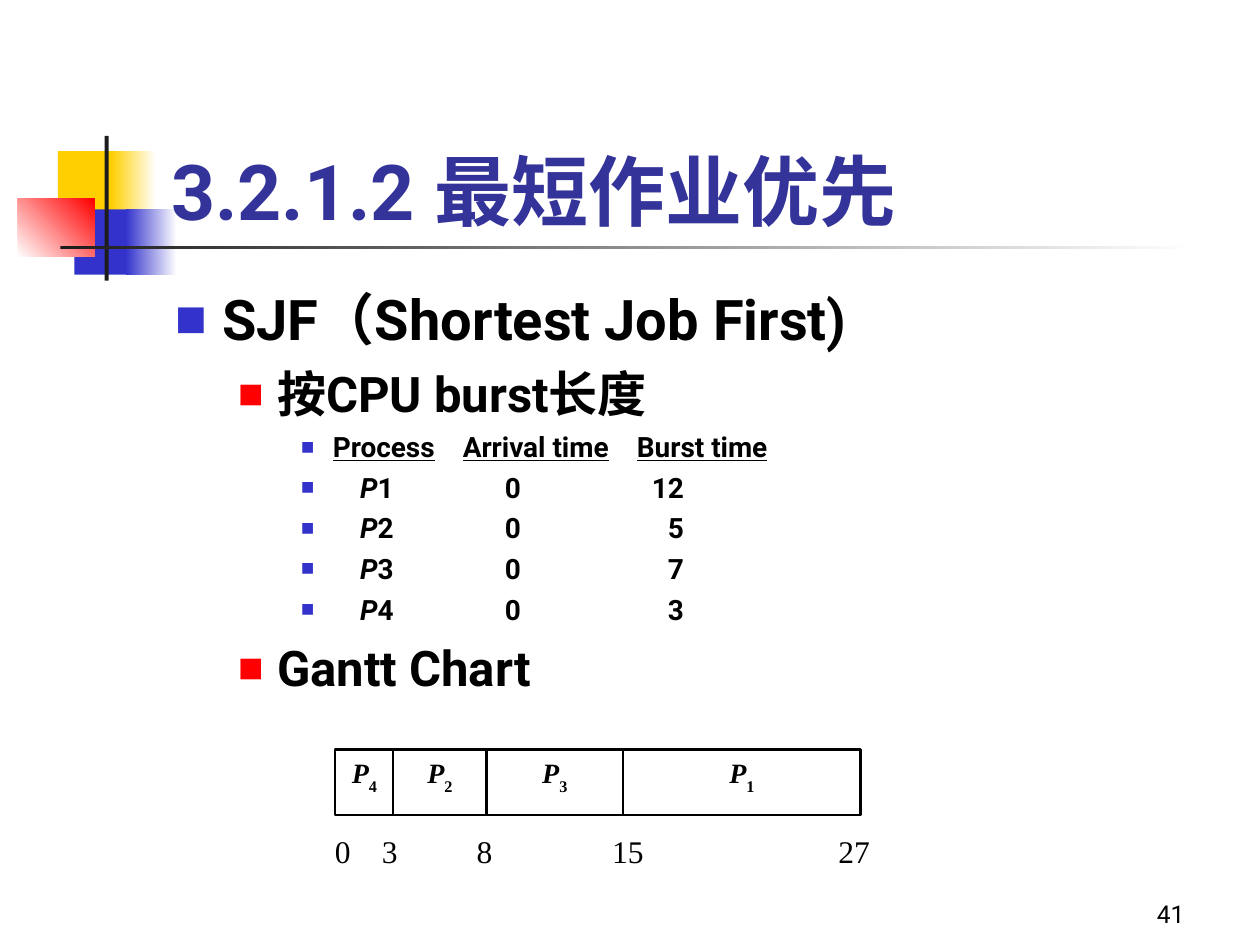
import dataclasses
import typing

import pptx
import pptx.dml.color
import pptx.enum.shapes
import pptx.enum.text
import pptx.util
from pptx.oxml.ns import qn
from lxml import etree

Cm = pptx.util.Cm
Pt = pptx.util.Pt
ALIGN = pptx.enum.text.PP_ALIGN
ANCHOR = pptx.enum.text.MSO_ANCHOR
SANS, SERIF = "Roboto", "Times New Roman"
BLACK, WHITE, BLUE, RED, YELLOW = "000000", "FFFFFF", "3333CC", "FF0000", "FFCF01"
DARK, NAVY = "1C1C1C", "333399"


@dataclasses.dataclass
class Block:
    left: float
    top: float
    width: float
    height: float
    color: str
    end_color: str = ""
    angle: float = 0


@dataclasses.dataclass
class Level:
    size: float
    margin: float
    hanging: float
    before: float
    bullet_color: str
    bullet_size: int


@dataclasses.dataclass
class Span:
    text: str
    italic: bool = False
    underline: bool = False


@dataclasses.dataclass
class Line:
    level: Level
    spans: list[Span]
    tabs: tuple = ()


@dataclasses.dataclass
class Job:
    number: int
    width: float


def rgb(color: str) -> pptx.dml.color.RGBColor:
    return pptx.dml.color.RGBColor.from_string(color)


def add_block(slide, block: Block, line_width: float = 0, line_color: str = BLACK):
    shape = slide.shapes.add_shape(
        pptx.enum.shapes.MSO_SHAPE.RECTANGLE,
        Cm(block.left), Cm(block.top), Cm(block.width), Cm(block.height))
    shape.shadow.inherit = False
    if block.end_color:
        shape.fill.gradient()
        shape.fill.gradient_angle = block.angle
        for stop, color in zip(shape.fill.gradient_stops, (block.color, block.end_color)):
            stop.color.rgb = rgb(color)
    else:
        shape.fill.solid()
        shape.fill.fore_color.rgb = rgb(block.color)
    if line_width:
        shape.line.width = Pt(line_width)
        shape.line.color.rgb = rgb(line_color)
    else:
        shape.line.fill.background()
    return shape


def add_box(slide, left: float, top: float, width: float, height: float, anchor):
    box = slide.shapes.add_textbox(Cm(left), Cm(top), Cm(width), Cm(height))
    box.text_frame.word_wrap = True
    box.text_frame.vertical_anchor = anchor
    return box


def style(font, size: float, name: str, color: str = BLACK, bold: bool = False) -> None:
    font.size, font.name, font.bold = Pt(size), name, bold
    font.color.rgb = rgb(color)


def add_tabs(para, tabs: typing.Iterable) -> None:
    tab_list = etree.SubElement(para._p.get_or_add_pPr(), qn("a:tabLst"))
    for position, kind in tabs:
        etree.SubElement(tab_list, qn("a:tab"), pos=str(Cm(position)), algn=kind)


def add_bullet(para, level: Level) -> None:
    props = para._p.get_or_add_pPr()
    props.set("marL", str(Cm(level.margin)))
    props.set("indent", str(-Cm(level.hanging)))
    color = etree.SubElement(props, qn("a:buClr"))
    etree.SubElement(color, qn("a:srgbClr"), val=level.bullet_color)
    etree.SubElement(props, qn("a:buSzPct"), val=str(level.bullet_size * 1000))
    etree.SubElement(props, qn("a:buFont"), typeface=SANS)
    etree.SubElement(props, qn("a:buChar"), char="■")


def add_line(frame, line: Line, first: bool) -> None:
    para = frame.paragraphs[0] if first else frame.add_paragraph()
    para.space_before = Pt(0 if first else line.level.before)
    add_bullet(para, line.level)
    if line.tabs:
        add_tabs(para, line.tabs)
    for span in line.spans:
        run = para.add_run()
        run.text = span.text
        style(run.font, line.level.size, SANS, bold=True)
        run.font.italic, run.font.underline = span.italic, span.underline


def add_job(slide, job: Job, left: float) -> None:
    shape = add_block(slide, Block(left, 15.11, job.width, 1.32, WHITE), 1.25)
    frame = shape.text_frame
    frame.vertical_anchor = ANCHOR.TOP
    para = frame.paragraphs[0]
    para.alignment = ALIGN.CENTER
    for text in ("P", str(job.number)):
        run = para.add_run()
        run.text = text
        style(run.font, 16, SERIF, bold=True)
        run.font.italic = text == "P"
    run.font._element.set("baseline", "-30000")


DECORATION = [
    Block(1.17, 3.05, 1.22, 1.32, YELLOW),
    Block(2.24, 3.05, 0.91, 1.32, YELLOW, WHITE),
    Block(1.5, 4.22, 1.17, 1.32, BLUE),
    Block(2.54, 4.22, 1.02, 1.32, BLUE, WHITE),
    Block(0.36, 4.01, 1.55, 1.17, WHITE, RED, 45),
    Block(2.11, 2.74, 0.08, 2.92, DARK),
    Block(1.22, 4.95, 22.86, 0.08, DARK, WHITE),
]
TOPIC = Level(32, 0.95, 0.95, 8, BLUE, 60)
POINT = Level(28, 2.06, 0.79, 7, RED, 55)
HEADER = Level(16, 3.18, 0.64, 4, BLUE, 50)
ROW = Level(16, 3.73, 1.19, 4, BLUE, 50)
HEADER_TABS = ((5.8, "l"), (9.31, "l"))
ROW_TABS = ((6.65, "l"), (10.26, "r"))
BURSTS = [12, 5, 7, 3]
JOBS = [Job(4, 1.17), Job(2, 1.88), Job(3, 2.75), Job(1, 4.79)]
TIMES = [0, 3, 8, 15, 27]
TIME_TABS = [(position, "l") for position in (0.95, 2.86, 5.59, 10.15)]


def main() -> None:
    deck = pptx.Presentation()
    deck.slide_width, deck.slide_height = Cm(25.4), Cm(19.05)
    slide = deck.slides.add_slide(deck.slide_layouts[6])

    # Corner decoration and rule
    for block in DECORATION:
        add_block(slide, block)

    # Title
    title = add_box(slide, 3.2, 1.7, 21.64, 3.18, ANCHOR.BOTTOM)
    title.text_frame.text = "3.2.1.2 最短作业优先"
    style(title.text_frame.paragraphs[0].runs[0].font, 44, SANS, NAVY, True)

    # Outline with the process list
    header = [Span("Process", underline=True), Span("\t"),
              Span("Arrival time", underline=True), Span("\t"),
              Span("Burst time", underline=True)]
    rows = [Line(ROW, [Span("P", italic=True), Span(f"{number}\t0\t{burst}")], ROW_TABS)
            for number, burst in enumerate(BURSTS, 1)]
    lines = [Line(TOPIC, [Span("SJF（Shortest Job First)")]),
             Line(POINT, [Span("按CPU burst长度")]),
             Line(HEADER, header, HEADER_TABS), *rows,
             Line(POINT, [Span("Gantt Chart")])]
    body = add_box(slide, 3.28, 5.61, 21.59, 11.43, ANCHOR.TOP)
    for index, line in enumerate(lines):
        add_line(body.text_frame, line, index == 0)

    # Gantt chart: time axis, then the jobs side by side
    axis = add_block(slide, Block(6.5, 16.74, 11.4, 0.91, WHITE), 0.75, WHITE)
    axis.text_frame.vertical_anchor = ANCHOR.TOP
    axis.text_frame.margin_top = axis.text_frame.margin_bottom = Cm(0.03)
    para = axis.text_frame.paragraphs[0]
    para.text = "\t".join(str(time) for time in TIMES)
    para.alignment = ALIGN.LEFT
    add_tabs(para, TIME_TABS)
    style(para.runs[0].font, 18, SERIF)
    left = 6.76
    for job in JOBS:
        add_job(slide, job, left)
        left += job.width

    # Slide number
    number = add_box(slide, 18.85, 17.58, 5.28, 1.27, ANCHOR.BOTTOM)
    number.text_frame.text = "41"
    para = number.text_frame.paragraphs[0]
    para.alignment = ALIGN.RIGHT
    style(para.runs[0].font, 14, SANS)

    deck.save("out.pptx")


if __name__ == "__main__":
    main()
